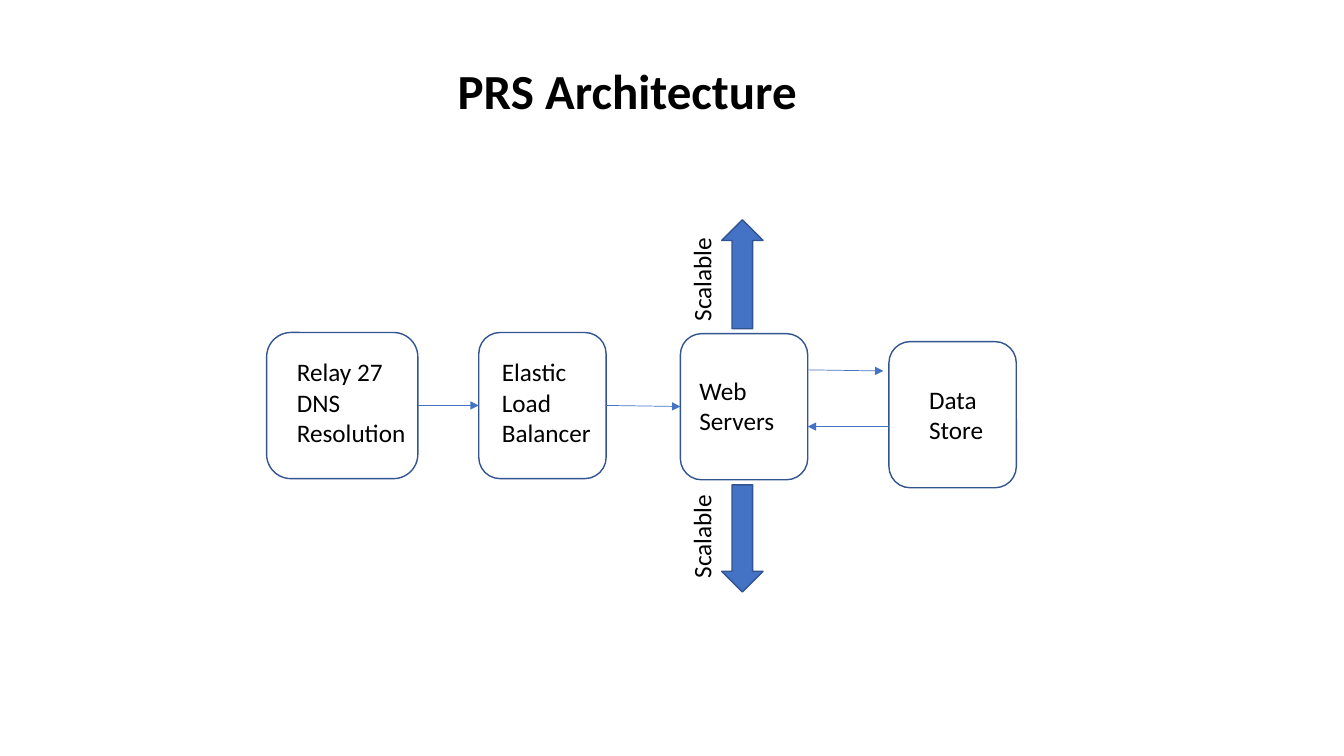
from pptx import Presentation
from pptx.dml.color import RGBColor
from pptx.enum.shapes import MSO_CONNECTOR as Conn, MSO_SHAPE as Kind
from pptx.enum.text import MSO_ANCHOR as Anchor, MSO_AUTO_SIZE as Fit, PP_ALIGN as Align
from pptx.oxml.ns import qn
from pptx.util import Pt
from lxml.etree import SubElement


def tint(code):
    return RGBColor.from_string(code)


class Board:
    font = "Calibri"
    ink = "000000"
    blue = "4472C4"
    edge = "325491"

    def __init__(self, slide):
        self.shapes = slide.shapes

    def letter(self, frame, text, size, bold=False):
        frame.text = text
        frame.vertical_anchor = Anchor.TOP
        for para in frame.paragraphs:
            para.alignment = Align.LEFT
            para.font.name = self.font
            para.font.size = Pt(size)
            para.font.bold = bold
            para.font.color.rgb = tint(self.ink)

    def title(self, text, left, top, width, height):
        head = self.shapes.title
        head.left, head.top = Pt(left), Pt(top)
        head.width, head.height = Pt(width), Pt(height)
        self.letter(head.text_frame, text, 35, True)
        head.text_frame.auto_size = Fit.NONE

    def shape(self, kind, left, top, width, height, fill=None):
        shape = self.shapes.add_shape(kind, Pt(left), Pt(top), Pt(width), Pt(height))
        shape.shadow.inherit = False
        if fill:
            shape.fill.solid()
            shape.fill.fore_color.rgb = tint(fill)
        else:
            shape.fill.background()
        shape.line.color.rgb = tint(self.edge)
        shape.line.width = Pt(1)

    def label(self, text, left, top, width, height, wrap=True, turn=0):
        box = self.shapes.add_textbox(Pt(left), Pt(top), Pt(width), Pt(height))
        box.rotation = turn
        box.text_frame.word_wrap = wrap
        self.letter(box.text_frame, text, 18)

    def arrow(self, x1, y1, x2, y2):
        link = self.shapes.add_connector(Conn.STRAIGHT, Pt(x1), Pt(y1), Pt(x2), Pt(y2))
        link.line.color.rgb = tint(self.blue)
        link.line.width = Pt(0.5)
        props = link.element.spPr
        SubElement(props.find(qn("a:ln")), qn("a:tailEnd"), type="triangle")
        SubElement(props, qn("a:effectLst"))


def main():
    deck = Presentation()
    deck.slide_width, deck.slide_height = Pt(960), Pt(540)
    board = Board(deck.slides.add_slide(deck.slide_layouts[5]))
    board.title("PRS Architecture", 319.7, 39.6, 347.8, 49.7)

    nodes = [
        ("Relay 27\nDNS Resolution", (190.5, 237.5, 108), (205, 251.3, 93.6, 72.7), True),
        ("Elastic Load Balancer", (342, 237.5, 91), (351.4, 251.3, 93.6, 72.7), True),
        ("Web Servers", (486, 238.3, 91), (492.5, 264.2, 75.6, 51), True),
        ("Data\nStore", (635, 244, 91), (656.6, 270.7, 53.3, 51), False),
    ]
    for text, (left, top, width), place, wrap in nodes:
        board.shape(Kind.ROUNDED_RECTANGLE, left, top, width, 104.4)
        board.label(text, *place, wrap=wrap)

    scales = [(Kind.UP_ARROW, 157, 77.8, 182.2), (Kind.DOWN_ARROW, 346.3, 76.5, 365.8)]
    for kind, top, height, mark in scales:
        board.shape(kind, 515.5, top, 29.5, height, board.blue)
        board.label("Scalable", 461, mark, 80, 29, turn=270)

    links = [
        (298.5, 289.6, 342, 289.6),
        (433, 289.6, 486, 290.4),
        (577, 264.2, 631, 265),
        (635, 304.7, 577, 304.7),
    ]
    for ends in links:
        board.arrow(*ends)

    deck.save("out.pptx")


if __name__ == "__main__":
    main()
